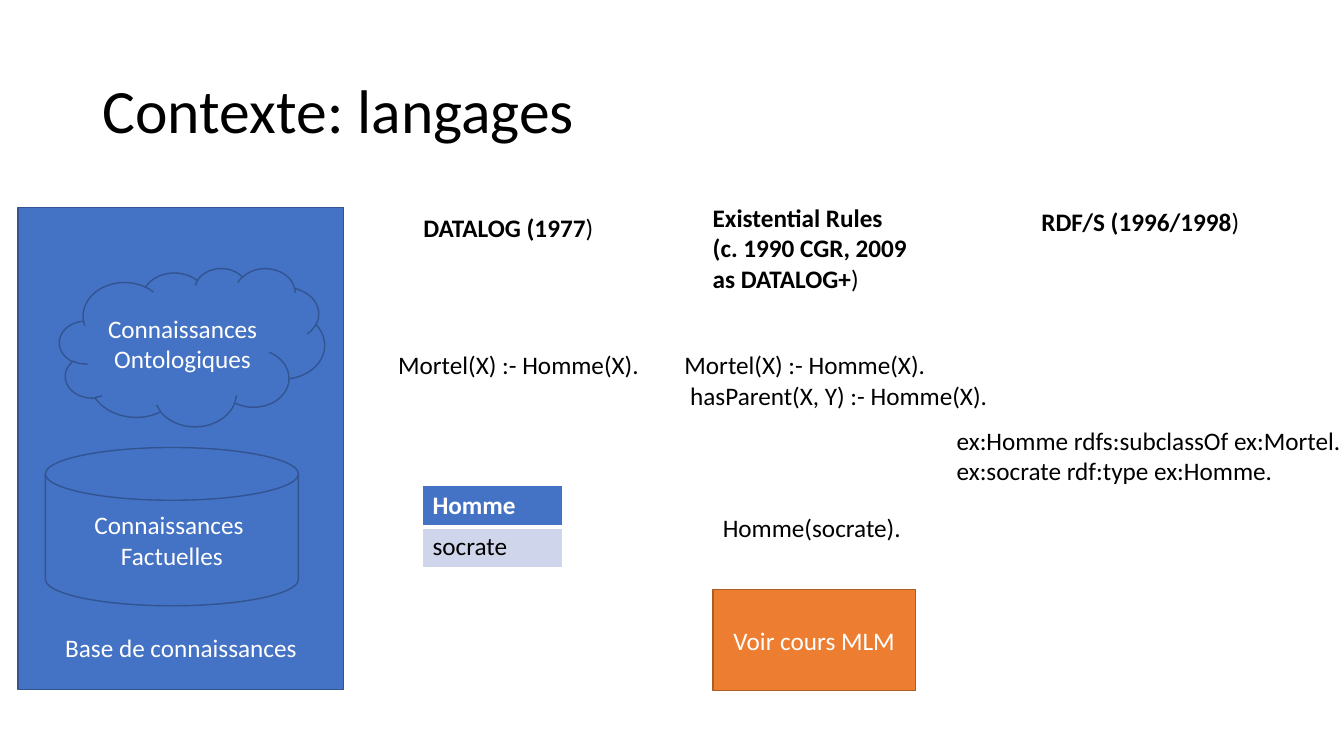
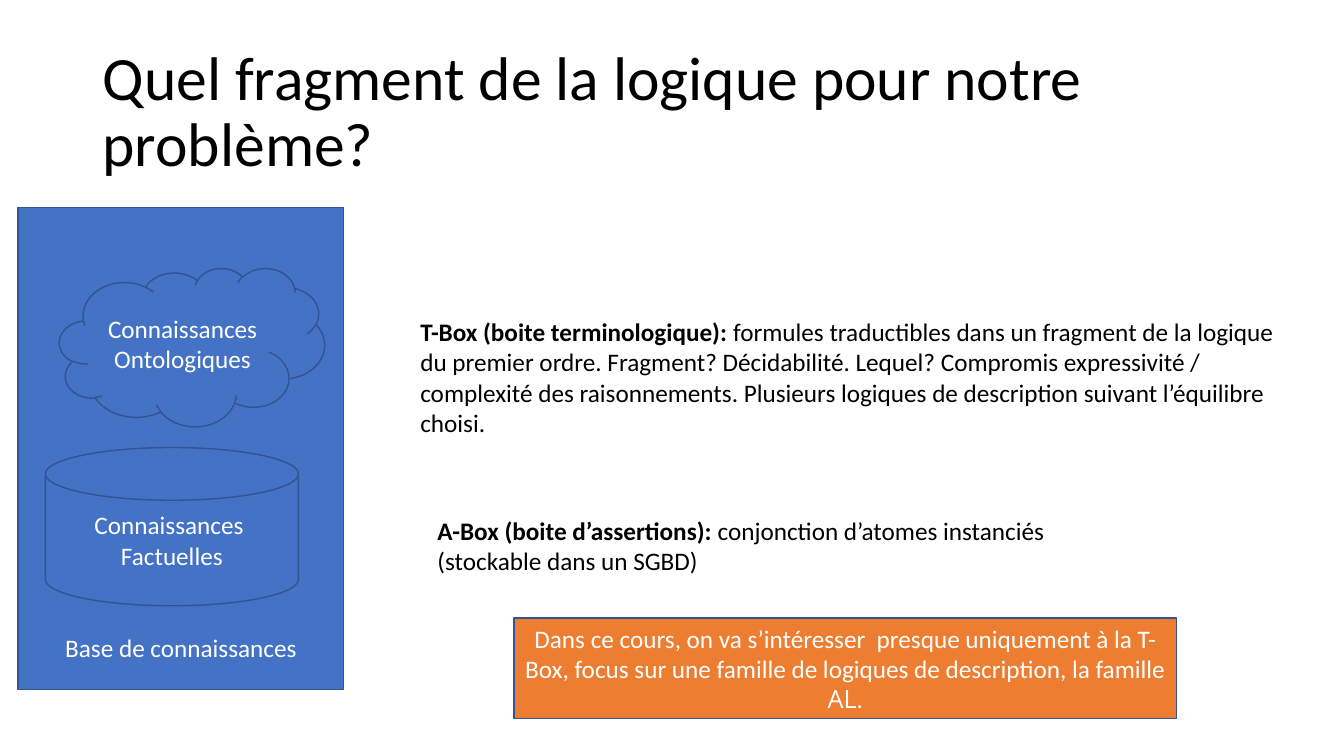
from dataclasses import dataclass

from lxml.etree import SubElement
from pptx import Presentation
from pptx.dml.color import RGBColor
from pptx.enum.shapes import MSO_SHAPE
from pptx.enum.text import MSO_ANCHOR, MSO_AUTO_SIZE, PP_ALIGN
from pptx.oxml.ns import qn
from pptx.util import Inches, Pt


@dataclass(frozen=True)
class Theme:
    font: str = "Calibri"
    family_font: str = "Open Sans"
    title_size: int = 44
    body_size: int = 18
    line_width: int = 1
    header_rule: int = 3
    black: str = "000000"
    white: str = "FFFFFF"
    blue: str = "4472C4"
    blue_line: str = "325491"
    orange: str = "ED7D31"
    orange_line: str = "AF5C24"
    pale_blue: str = "CFD5EA"


THEME = Theme()
BOLD = {"bold": True}
FAMILY = {"name": THEME.family_font}

# A paragraph is a list of (text, font values) runs; a plain string is one run.
TITLE_BOX = (0.92, 0.4, 11.5, 1.45)
KNOWLEDGE_BASE = [
    (MSO_SHAPE.RECTANGLE, (0.18, 2.06, 3.23, 4.78), ["Base de connaissances"],
     {"vertical_anchor": MSO_ANCHOR.BOTTOM, "margin_bottom": Inches(0.27)}),
    (MSO_SHAPE.FLOWCHART_MAGNETIC_DISK, (0.45, 4.44, 2.51, 1.57),
     ["Connaissances ", "Factuelles"], {}),
    (MSO_SHAPE.CLOUD, (0.59, 2.66, 2.63, 1.57),
     ["Connaissances", "Ontologiques"], {}),
]

SLIDES = [
    {
        "title": "Contexte: langages",
        "texts": [
            ((4.1, 2.06, 1.91, 0.4), False, [[("DATALOG (1977", BOLD), (")", {})]]),
            ((6.97, 1.96, 2.21, 1.01), False, [
                [("Existential Rules", BOLD)],
                [("(c. 1990 CGR, 2009", BOLD)],
                [("as DATALOG+", BOLD), (")", {})],
            ]),
            ((10.23, 2, 2.19, 0.4), False, [[("RDF/S (1996/1998", BOLD), (")", {})]]),
            ((3.85, 3.42, 2.62, 0.4), False, ["Mortel(X) :- Homme(X)."]),
            ((6.69, 3.42, 3.24, 1.01), False,
             ["Mortel(X) :- Homme(X).", " hasParent(X, Y) :- Homme(X)."]),
            ((7.07, 5.03, 2.01, 0.4), False, ["Homme(socrate)."]),
            ((9.39, 4.17, 4.05, 0.71), False,
             ["ex:Homme rdfs:subclassOf ex:Mortel.", "ex:socrate rdf:type ex:Homme."]),
        ],
        "facts": ((4.19, 4.82, 1.39, 0.81), ["Homme", "socrate"]),
        "callout": ((7.07, 5.85, 2.01, 1), THEME.orange_line, ["Voir cours MLM"]),
    },
    {
        "title": "Quel fragment de la logique pour notre problème?",
        "texts": [
            ((4.24, 5.06, 6.28, 0.71), False, [
                [("A-Box (boite d’assertions): ", BOLD),
                 ("conjonction d’atomes instanciés", {})],
                "(stockable dans un SGBD)",
            ]),
            ((4.07, 3.09, 8.89, 1.31), True, [
                [("T-Box (boite terminologique): ", BOLD),
                 ("formules traductibles dans un fragment de la logique", {})],
                "du premier ordre. Fragment? Décidabilité. Lequel? Compromis expressivité / "
                "complexité des raisonnements. Plusieurs logiques de description suivant "
                "l’équilibre choisi.",
            ]),
        ],
        "callout": ((5.1, 6.13, 6.57, 1), THEME.blue_line, [[
            ("Dans ce cours, on va s’intéresser  presque uniquement à la T-Box, focus sur "
             "une famille de logiques de description, la famille ", {}),
            ("AL", FAMILY), (".", {}),
        ]]),
    },
]


def place(box):
    return [Inches(length) for length in box]


def apply(target, values):
    for name, value in values.items():
        setattr(target, name, value)


def paint(fill, color):
    fill.solid()
    fill.fore_color.rgb = RGBColor.from_string(color)


def write(frame, paragraphs, color, size=THEME.body_size, **layout):
    for index, runs in enumerate(paragraphs):
        paragraph = frame.paragraphs[0] if index == 0 else frame.add_paragraph()
        apply(paragraph, layout)
        for text, values in [(runs, {})] if isinstance(runs, str) else runs:
            run = paragraph.add_run()
            run.text = text
            apply(run.font, {"name": THEME.font, "size": Pt(size), "bold": False} | values)
            run.font.color.rgb = RGBColor.from_string(color)


def add_title(slide, title):
    frame = slide.shapes.add_textbox(*place(TITLE_BOX)).text_frame
    apply(frame, {"word_wrap": True, "vertical_anchor": MSO_ANCHOR.MIDDLE})
    write(frame, [title], THEME.black, THEME.title_size, line_spacing=0.9)


def add_text(slide, box, wrap, paragraphs):
    frame = slide.shapes.add_textbox(*place(box)).text_frame
    apply(frame, {"word_wrap": wrap, "auto_size": MSO_AUTO_SIZE.SHAPE_TO_FIT_TEXT})
    write(frame, paragraphs, THEME.black)


def add_panel(slide, preset, box, fill, line, paragraphs, frame_values):
    panel = slide.shapes.add_shape(preset, *place(box))
    panel.shadow.inherit = False
    paint(panel.fill, fill)
    paint(panel.line.fill, line)
    panel.line.width = Pt(THEME.line_width)
    apply(panel.text_frame,
          {"word_wrap": True, "vertical_anchor": MSO_ANCHOR.MIDDLE} | frame_values)
    write(panel.text_frame, paragraphs, THEME.white, alignment=PP_ALIGN.CENTER)


def set_borders(cell, widths):
    """Draw white borders; widths are points for left, right, top and bottom."""
    properties = cell._tc.get_or_add_tcPr()
    for position, (side, width) in enumerate(zip("LRTB", widths)):
        border = SubElement(properties, qn(f"a:ln{side}"), w=str(Pt(width)))
        solid = SubElement(border, qn("a:solidFill"))
        SubElement(solid, qn("a:srgbClr"), val=THEME.white)
        properties.insert(position, border)


def add_facts(slide, box, rows):
    """Add a one-column table whose first row is the predicate name."""
    table = slide.shapes.add_table(len(rows), 1, *place(box)).table
    thin, rule = THEME.line_width, THEME.header_rule
    for index, text in enumerate(rows):
        cell = table.cell(index, 0)
        if index == 0:
            fill, color, values = THEME.blue, THEME.white, BOLD
            widths = (thin, thin, thin, rule)
        else:
            fill, color, values = THEME.pale_blue, THEME.black, {}
            widths = (thin, thin, rule if index == 1 else thin, thin)
        paint(cell.fill, fill)
        set_borders(cell, widths)
        write(cell.text_frame, [[(text, values)]], color)


def build_slide(deck, content):
    slide = deck.slides.add_slide(deck.slide_layouts[6])
    add_title(slide, content["title"])
    for preset, box, paragraphs, frame_values in KNOWLEDGE_BASE:
        add_panel(slide, preset, box, THEME.blue, THEME.blue_line, paragraphs, frame_values)
    for box, wrap, paragraphs in content["texts"]:
        add_text(slide, box, wrap, paragraphs)
    if "facts" in content:
        add_facts(slide, *content["facts"])
    box, line, paragraphs = content["callout"]
    add_panel(slide, MSO_SHAPE.RECTANGLE, box, THEME.orange, line, paragraphs, {})


def main():
    deck = Presentation()
    apply(deck, {"slide_width": Inches(13.33), "slide_height": Inches(7.5)})
    for content in SLIDES:
        build_slide(deck, content)
    deck.save("out.pptx")


if __name__ == "__main__":
    main()
